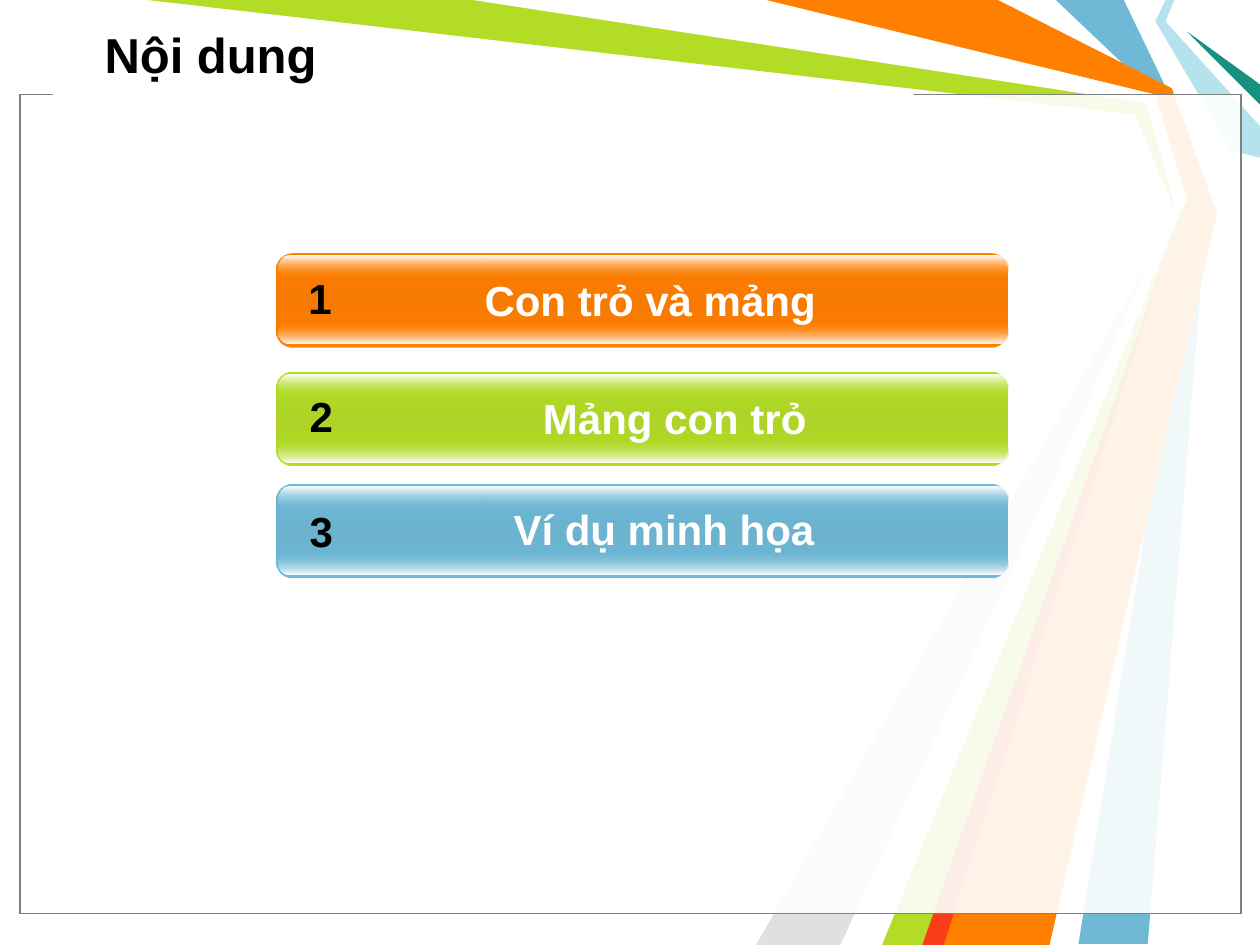
from dataclasses import dataclass

from lxml import etree
from pptx import Presentation
from pptx.dml.color import RGBColor
from pptx.enum.shapes import MSO_SHAPE
from pptx.enum.text import MSO_ANCHOR, PP_ALIGN
from pptx.oxml.ns import qn
from pptx.util import Inches, Pt

RECT, ROUNDED = MSO_SHAPE.RECTANGLE, MSO_SHAPE.ROUNDED_RECTANGLE
MIDDLE = MSO_ANCHOR.MIDDLE
LEFT, CENTER = PP_ALIGN.LEFT, PP_ALIGN.CENTER
TITLE_ONLY = 5


@dataclass(frozen=True)
class Theme:
    font: str = "Arial"
    title_size: int = 28
    item_size: int = 24
    black: str = "000000"
    white: str = "FFFFFF"
    frame: str = "808080"
    orange: str = "FF7F00"
    orange_mid: str = "F67B00"
    green: str = "B3DC27"
    green_mid: str = "ADD426"
    blue: str = "6FB9D7"
    blue_mid: str = "6BB3CF"
    gray: str = "E0E0E0"
    pale_blue: str = "B4E3EE"
    teal: str = "189180"
    red: str = "F93D17"


THEME = Theme()

# Background ribbons, back to front: colour and outline in inches
RIBBONS = [
    (THEME.blue, [(8.92, 0), (9.29, 0.77), (9.58, 1.67), (9.11, 7.49), (8.56, 7.49),
                  (9.5, 1.67), (9.17, 0.75), (8.38, 0)]),
    (THEME.green, [(1.17, 0), (3.83, 0), (9.14, 0.78), (9.42, 1.69), (7.42, 7.5),
                   (6.92, 7.5), (9.35, 1.73), (9.01, 0.91)]),
    (THEME.gray, [(6.67, 7.5), (9.27, 1.81), (6, 7.5)]),
    (THEME.white, [(3.75, 0), (9.1, 0.82), (9.32, 1.62), (6.75, 7.5), (7, 7.5),
                   (9.41, 1.58), (9.17, 0.75), (6, 0)]),
    (THEME.pale_blue, [(9.25, 0), (9.17, 0.17), (9.78, 1.2), (10, 1.25), (10, 1),
                       (9.25, 0.17), (9.32, 0)]),
    (THEME.teal, [(10, 0.83), (9.42, 0.25), (10, 0.67)]),
    (THEME.orange, [(6.08, 0), (7.92, 0), (9.3, 0.7), (9.66, 1.69), (8.33, 7.5),
                    (7.33, 7.5), (9.42, 1.58), (9.17, 0.75)]),
    (THEME.red, [(7.32, 7.5), (9.32, 1.83), (7.49, 7.5)]),
]

# Agenda: top, colour, middle colour, number, number left/top, label, label left/top/width
AGENDA = [
    (2.01, THEME.orange, THEME.orange_mid, "1", (2.33, 2.11),
     "Con trỏ và mảng", (2.7, 2.13, 4.92)),
    (2.95, THEME.green, THEME.green_mid, "2", (2.34, 3.05),
     "Mảng con trỏ", (2.71, 3.07, 5.29)),
    (3.84, THEME.blue, THEME.blue_mid, "3", (2.34, 3.96),
     "Ví dụ minh họa", (2.81, 3.95, 4.92)),
]


def rgb(color):
    return RGBColor.from_string(color)


def set_alpha(color_element, percent):
    etree.SubElement(color_element, qn("a:alpha"), val=str(percent * 1000))


def fill_solid(shape, color):
    shape.shadow.inherit = False
    shape.fill.solid()
    shape.fill.fore_color.rgb = rgb(color)
    shape.line.fill.background()


def fill_gradient(shape, stops):
    """Vertical gradient; each stop is (position, colour, opacity), in percent."""
    shape.shadow.inherit = False
    shape.line.fill.background()
    shape.fill.gradient()
    shape.fill.gradient_angle = 270
    stop_list = shape.element.spPr.find(".//" + qn("a:gsLst"))
    for old_stop in list(stop_list):
        stop_list.remove(old_stop)
    for position, color, opacity in stops:
        stop = etree.SubElement(stop_list, qn("a:gs"), pos=str(position * 1000))
        set_alpha(etree.SubElement(stop, qn("a:srgbClr"), val=color), opacity)


def add_box(slide, kind, left, top, width, height):
    return slide.shapes.add_shape(kind, Inches(left), Inches(top), Inches(width), Inches(height))


def add_ribbon(slide, color, outline):
    start, *rest = [(Inches(x), Inches(y)) for x, y in outline]
    builder = slide.shapes.build_freeform(*start)
    builder.add_line_segments(rest, close=True)
    fill_solid(builder.convert_to_shape(), color)


def add_frame(slide):
    # Two translucent layers fade the ribbons
    for line_color in (THEME.black, THEME.frame):
        panel = add_box(slide, RECT, 0.16, 0.75, 9.69, 6.5)
        fill_solid(panel, THEME.white)
        set_alpha(panel.element.spPr.find(".//" + qn("a:srgbClr")), 69)
        panel.line.color.rgb = rgb(line_color)
        panel.line.width = Pt(0.75)
    # Gap in the frame below the title
    fill_solid(add_box(slide, RECT, 0.42, 0.74, 6.83, 0.17), THEME.white)


def write_text(frame, text, size, color, align):
    frame.word_wrap = True
    paragraph = frame.paragraphs[0]
    paragraph.alignment = align
    run = paragraph.add_run()
    run.text = text
    for name, value in {"name": THEME.font, "size": Pt(size), "bold": True}.items():
        setattr(run.font, name, value)
    run.font.color.rgb = rgb(color)


def add_text(slide, text, left, top, width, color):
    box = slide.shapes.add_textbox(Inches(left), Inches(top), Inches(width), Inches(0.5))
    write_text(box.text_frame, text, THEME.item_size, color, CENTER)


def add_bar(slide, top, color, middle):
    bar = add_box(slide, ROUNDED, 2.19, top, 5.81, 0.75)
    bar.adjustments[0] = 0.175
    fill_gradient(bar, [(0, color, 100), (50, middle, 100), (100, color, 100)])
    # Glossy lower and upper edges
    glosses = [
        (0.54, [(0, color, 0), (100, THEME.white, 100)]),
        (0.02, [(0, THEME.white, 100), (100, color, 0)]),
    ]
    for offset, stops in glosses:
        gloss = add_box(slide, ROUNDED, 2.21, top + offset, 5.79, 0.18)
        gloss.adjustments[0] = 0.5
        fill_gradient(gloss, stops)


def add_title(slide, text):
    title = slide.shapes.title
    place = {"left": 0.73, "top": 0.08, "width": 9.11, "height": 0.69}
    for name, value in place.items():
        setattr(title, name, Inches(value))
    title.text_frame.vertical_anchor = MIDDLE
    write_text(title.text_frame, text, THEME.title_size, THEME.black, LEFT)
    # Bring the title in front of the ribbons
    slide.shapes.element.append(title.element)


def main():
    deck = Presentation()
    deck.slide_width, deck.slide_height = Inches(10), Inches(7.5)
    slide = deck.slides.add_slide(deck.slide_layouts[TITLE_ONLY])

    # Background
    for color, outline in RIBBONS:
        add_ribbon(slide, color, outline)
    add_frame(slide)

    # Title and agenda
    add_title(slide, "Nội dung")
    for top, color, middle, number, number_at, label, label_at in AGENDA:
        add_bar(slide, top, color, middle)
        add_text(slide, label, *label_at, THEME.white)
        add_text(slide, number, *number_at, 0.42, THEME.black)

    deck.save("out.pptx")


if __name__ == "__main__":
    main()
